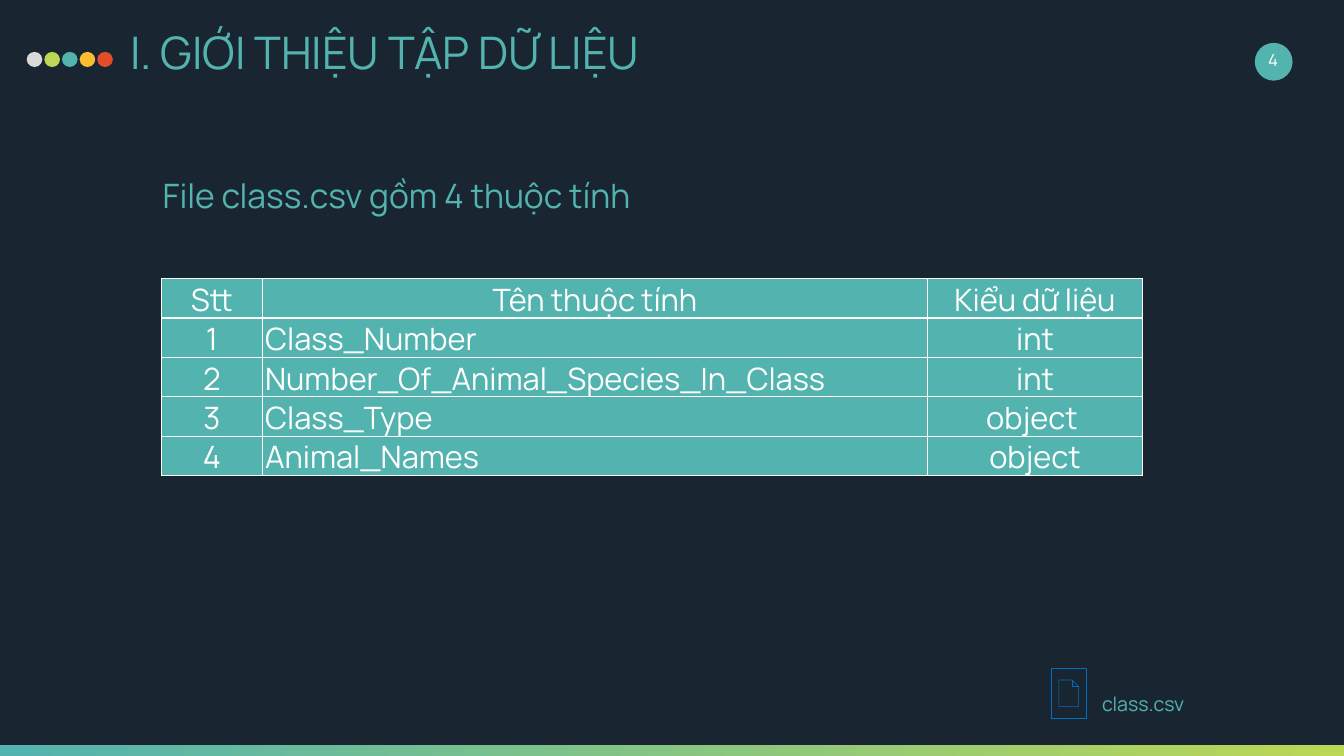
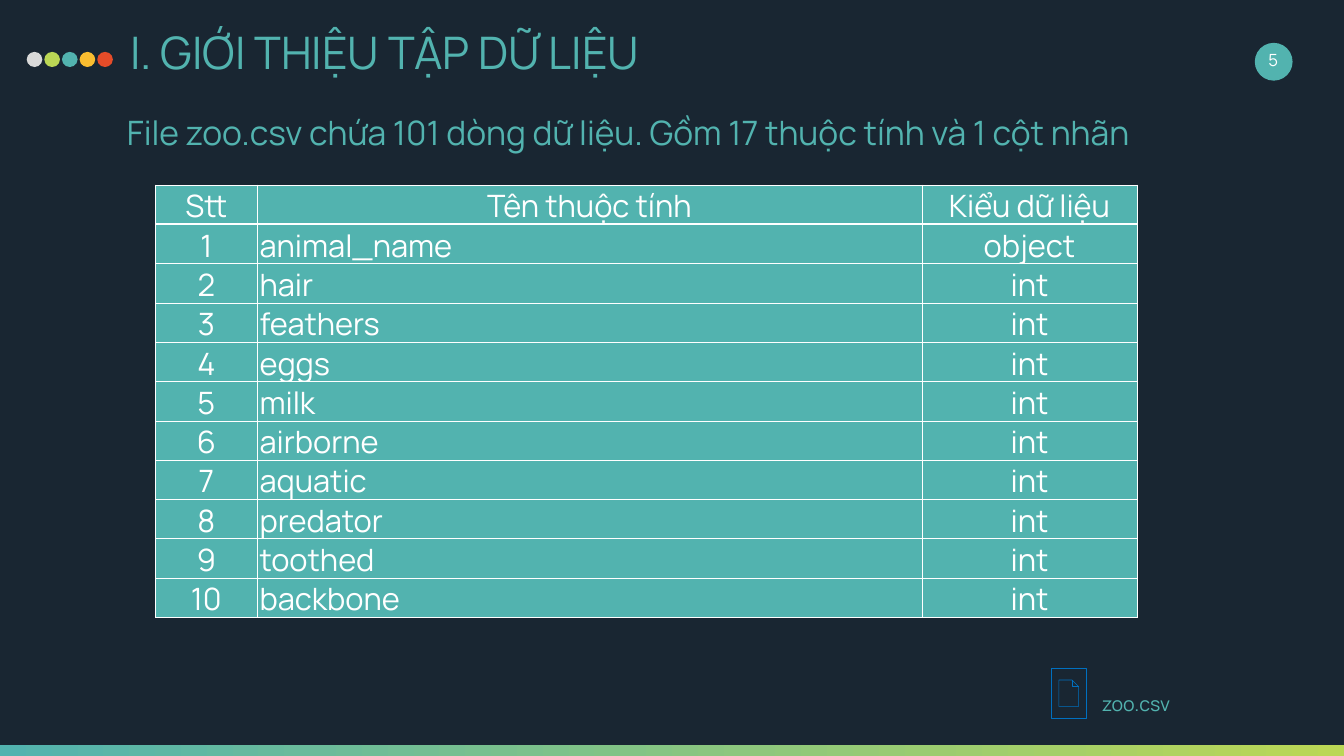
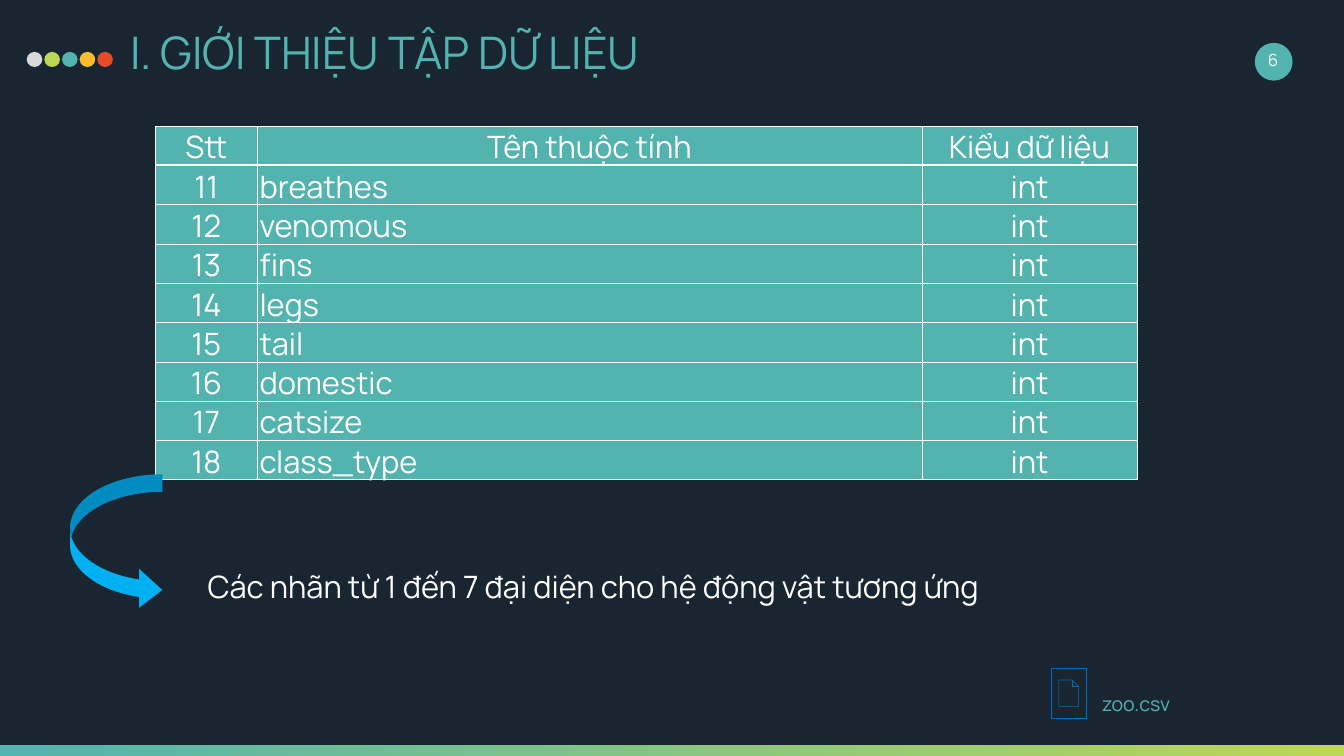
from lxml import etree
from pptx import Presentation
from pptx.dml.color import RGBColor
from pptx.enum import shapes, text
from pptx.oxml import ns
from pptx.util import Inches, Pt

# Content
TITLE = "I. GIỚI THIỆU TẬP DỮ LIỆU"
HEADER = ("Stt", "Tên thuộc tính", "Kiểu dữ liệu")
SLIDES = [
    dict(number=4, file="class.csv", table_at=(3.2, 5.53), first=1,
         heading=("File class.csv gồm 4 thuộc tính", (3.13, 3.42, 19.46, 0.91)),
         rows=[("Class_Number", "int"), ("Number_Of_Animal_Species_In_Class", "int"),
               ("Class_Type", "object "), ("Animal_Names", "object")]),
    dict(number=5, file="zoo.csv", table_at=(3.09, 3.67), first=1,
         heading=("File zoo.csv chứa 101 dòng dữ liệu. Gồm 17 thuộc tính và 1 cột nhãn",
                  (2.42, 2.17, 23.19, 0.91)),
         rows=[("animal_name", "object"), ("hair", "int"), ("feathers", "int"),
               ("eggs", "int"), ("milk", "int"), ("airborne", "int"), ("aquatic", "int"),
               ("predator", "int"), ("toothed", "int"), ("backbone", "int")]),
    dict(number=6, file="zoo.csv", table_at=(3.09, 2.5), first=11,
         rows=[("breathes", "int"), ("venomous", "int"), ("fins", "int"), ("legs", "int"),
               ("tail", "int"), ("domestic", "int"), ("catsize", "int"),
               ("class_type", "int")],
         label_note="Các nhãn từ 1 đến 7 đại diện cho hệ động vật tương ứng"),
]

# Shared look
FONT = "Manrope"
NAVY = RGBColor(0x19, 0x26, 0x32)
TEAL = RGBColor(0x52, 0xB3, 0xAF)
LIME = RGBColor(0xBB, 0xD7, 0x55)
AMBER = RGBColor(0xFA, 0xBD, 0x30)
RED = RGBColor(0xE5, 0x4C, 0x29)
GREY = RGBColor(0xD9, 0xD9, 0xD9)
WHITE = RGBColor(0xFF, 0xFF, 0xFF)
BLUE = RGBColor(0x00, 0x70, 0xC0)
SKY = RGBColor(0x00, 0xB0, 0xF0)
DOTS = (GREY, LIME, TEAL, AMBER, RED)
DOT_LEFT, DOT_STEP = 0.53, 0.35
COLUMNS = (2.01, 13.2, 4.26)
ROW_HEIGHT, ROW_PITCH = 0.78, 0.83
TITLE_INSETS = (0.27, 0.13, 0.27, 0.13)
SHAPE = shapes.MSO_SHAPE
CENTER, LEFT = text.PP_ALIGN.CENTER, text.PP_ALIGN.LEFT


def write(frame, words, size=44, color=TEAL, align=LEFT):
    paragraph = frame.paragraphs[0]
    paragraph.alignment = align
    run = paragraph.add_run()
    run.text = words
    run.font.name, run.font.size = FONT, Pt(size)
    run.font.color.rgb = color


def add_text(slide, words, box, insets=None, middle=False, grow=True, **style):
    frame = slide.shapes.add_textbox(*map(Inches, box)).text_frame
    frame.word_wrap = True
    if grow:
        frame.auto_size = text.MSO_AUTO_SIZE.SHAPE_TO_FIT_TEXT
    if insets:
        (frame.margin_left, frame.margin_top,
         frame.margin_right, frame.margin_bottom) = map(Inches, insets)
    if middle:
        frame.vertical_anchor = text.MSO_ANCHOR.MIDDLE
    write(frame, words, **style)


def add_shape(slide, kind, box, fill=None, line=None):
    shape = slide.shapes.add_shape(kind, *map(Inches, box))
    shape.shadow.inherit = False
    if fill is None:
        shape.fill.background()
    else:
        shape.fill.solid()
        shape.fill.fore_color.rgb = fill
    if line is None:
        shape.line.fill.background()
    else:
        shape.line.color.rgb = line
        shape.line.width = Pt(0.75)
    return shape


def set_borders(cell, **widths):
    properties = cell._tc.get_or_add_tcPr()
    for place, side in enumerate("LRTB"):
        line = etree.Element(ns.qn(f"a:ln{side}"), w=str(Pt(widths.get(side, 1))))
        fill = etree.SubElement(line, ns.qn("a:solidFill"))
        etree.SubElement(fill, ns.qn("a:srgbClr"), val=str(WHITE))
        properties.insert(place, line)


def add_attributes(slide, at, rows, first):
    lines = [HEADER] + [(str(n), *row) for n, row in enumerate(rows, first)]
    holder = slide.shapes.add_table(
        len(lines), len(COLUMNS), *map(Inches, at),
        Inches(sum(COLUMNS)), Inches(ROW_HEIGHT * len(lines)))
    table = holder.table
    table.first_row = table.horz_banding = False
    for column, width in zip(table.columns, COLUMNS):
        column.width = Inches(width)
    for r, line in enumerate(lines):
        for c, words in enumerate(line):
            cell = table.cell(r, c)
            cell.margin_left = cell.margin_right = Inches(0.05)
            cell.margin_top = cell.margin_bottom = 0
            cell.vertical_anchor = text.MSO_ANCHOR.MIDDLE
            cell.fill.solid()
            cell.fill.fore_color.rgb = TEAL
            set_borders(cell, B=3 if r == 0 else 1)
            write(cell.text_frame, words, color=WHITE,
                  align=LEFT if r and c == 1 else CENTER)
    holder.height = Inches(ROW_PITCH * len(lines))


def add_frame(slide, number, file):
    slide.background.fill.solid()
    slide.background.fill.fore_color.rgb = NAVY
    # Bottom band
    band = add_shape(slide, SHAPE.RECTANGLE, (0, 14.79, 26.67, 0.38), TEAL)
    band.fill.gradient()
    band.fill.gradient_angle = 0
    for stop, color, position in zip(band.fill.gradient_stops, (TEAL, LIME), (0, 1)):
        stop.color.rgb, stop.position = color, position
    # Dots beside the title
    for i, color in enumerate(DOTS):
        add_shape(slide, SHAPE.OVAL, (DOT_LEFT + i * DOT_STEP, 1.03, 0.31, 0.3), color)
    # Page number
    add_shape(slide, SHAPE.OVAL, (24.9, 0.85, 0.75, 0.75), TEAL)
    add_text(slide, str(number), (24.68, 0.78, 1.17, 0.8), insets=TITLE_INSETS,
             middle=True, grow=False, size=24, color=WHITE, align=CENTER)
    # Data file
    add_shape(slide, SHAPE.ACTION_BUTTON_DOCUMENT, (20.86, 13.26, 0.7, 0.99), line=BLUE)
    add_text(slide, file, (21.77, 13.68, 3.58, 0.57), size=28)


def build(deck, page):
    slide = deck.slides.add_slide(deck.slide_layouts[6])
    add_frame(slide, page["number"], page["file"])
    if "heading" in page:
        add_text(slide, *page["heading"], size=48)
    add_attributes(slide, page["table_at"], page["rows"], page["first"])
    if "label_note" in page:
        add_text(slide, page["label_note"], (4.02, 11.21, 17.75, 0.84), color=WHITE)
        arrow = add_shape(slide, SHAPE.CURVED_RIGHT_ARROW, (1.39, 9.41, 1.83, 2.68), SKY)
        for i, value in enumerate((0.19, 0.42, 0.25)):
            arrow.adjustments[i] = value
    add_text(slide, TITLE, (2.31, 0.37, 21.25, 1.6), insets=TITLE_INSETS,
             grow=False, size=64)


def main():
    deck = Presentation()
    deck.slide_width, deck.slide_height = Inches(26.67), Inches(15)
    for page in SLIDES:
        build(deck, page)
    deck.save("out.pptx")


if __name__ == "__main__":
    main()
